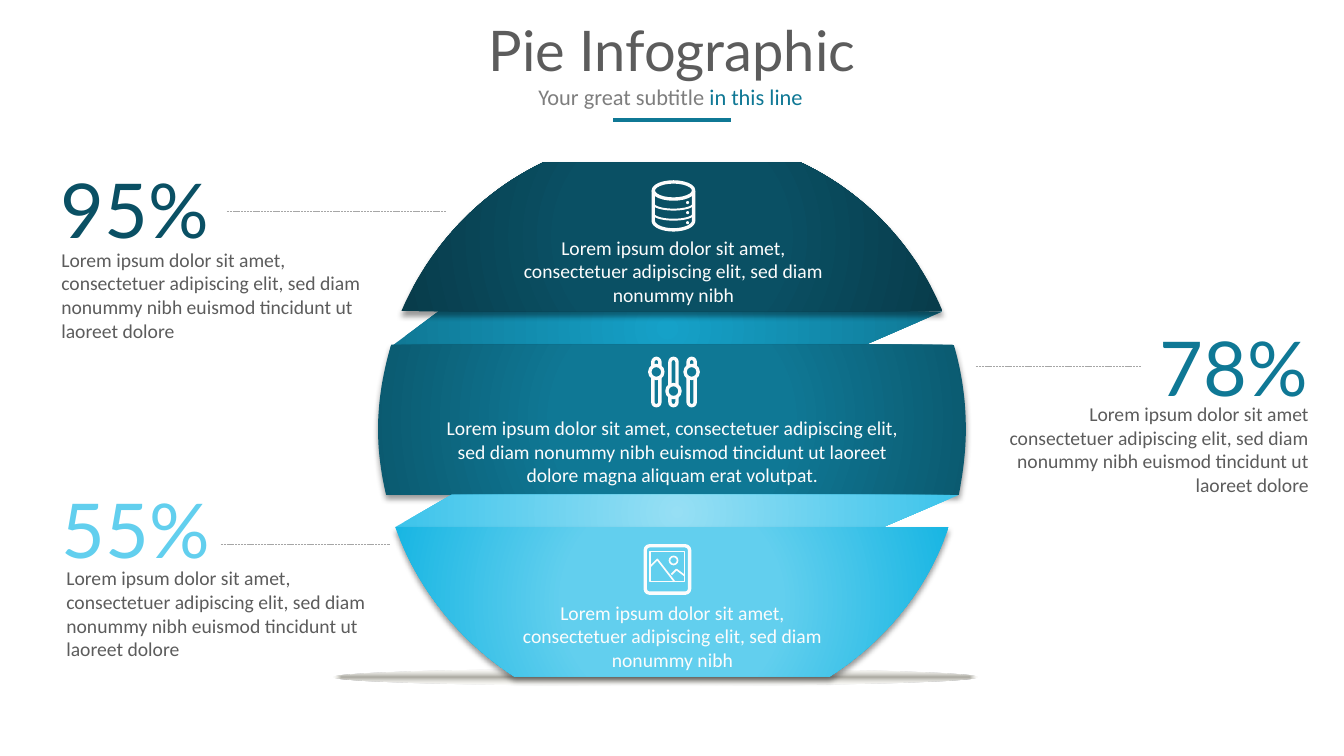
from math import cos, pi, sin

from pptx import Presentation
from pptx.dml.color import RGBColor
from pptx.enum.dml import MSO_LINE
from pptx.enum.shapes import MSO_CONNECTOR, MSO_SHAPE as SHAPE
from pptx.enum.text import MSO_ANCHOR, MSO_AUTO_SIZE as AUTO, PP_ALIGN as ALIGN
from pptx.oxml import parse_xml
from pptx.oxml.ns import nsdecls
from pptx.util import Inches, Pt

NAVY = RGBColor(0x0A, 0x50, 0x64)
NAVY_EDGE = RGBColor(0x08, 0x3C, 0x4B)
TEAL = RGBColor(0x0F, 0x78, 0x95)
TEAL_EDGE = RGBColor(0x0B, 0x5A, 0x70)
SKY = RGBColor(0x62, 0xCF, 0xEE)
SKY_EDGE = RGBColor(0x19, 0xB6, 0xE3)
FOLD_TEAL = RGBColor(0x15, 0xA1, 0xC8)
FOLD_TEAL_EDGE = RGBColor(0x10, 0x79, 0x96)
FOLD_SKY = RGBColor(0x96, 0xDF, 0xF4)
FOLD_SKY_EDGE = RGBColor(0x3D, 0xC4, 0xEB)
GROUND = RGBColor(0xAA, 0xA9, 0xA1)
GROUND_EDGE = RGBColor(0xEE, 0xEC, 0xE1)
WHITE = RGBColor(0xFC, 0xFC, 0xFC)
DARK = RGBColor(0x5C, 0x5C, 0x5C)
GREY = RGBColor(0x7E, 0x7E, 0x7E)
RULE = RGBColor(0xA6, 0xA6, 0xA6)

SHORT = "Lorem ipsum dolor sit amet, consectetuer adipiscing elit, sed diam nonummy nibh"
LONG = SHORT + " euismod tincidunt ut laoreet dolore"
NO_COMMA = LONG.replace("amet,", "amet")

# Outline steps: (x, y) is a line, six numbers are a Bezier curve.
# (outline, centre colour, edge colour, first stop, raised), from back to front
GLOBE = [
    ([(4.35, 3.09), (9.35, 3.09), (8.56, 3.43), (3.89, 3.43)],
     FOLD_TEAL, FOLD_TEAL_EDGE, 0, False),
    ([(3.88, 3.42), (9.46, 3.42), (9.54, 3.69, 9.58, 3.97, 9.58, 4.26),
      (9.58, 4.48, 9.55, 4.7, 9.51, 4.91), (3.83, 4.91),
      (3.78, 4.7, 3.75, 4.48, 3.75, 4.26), (3.75, 3.97, 3.8, 3.69, 3.88, 3.42)],
     TEAL, TEAL_EDGE, 38, True),
    ([(4.48, 4.91), (9.51, 4.91), (8.71, 5.25), (3.92, 5.23)],
     FOLD_SKY, FOLD_SKY_EDGE, 0, False),
    ([(5.39, 1.61), (7.94, 1.61), (8.58, 1.91, 9.08, 2.44, 9.35, 3.09),
      (3.98, 3.09), (4.26, 2.44, 4.76, 1.91, 5.39, 1.61)],
     NAVY, NAVY_EDGE, 38, True),
    ([(3.92, 5.23), (9.41, 5.23), (9.2, 5.84, 8.78, 6.36, 8.23, 6.71),
      (5.1, 6.71), (4.56, 6.36, 4.14, 5.84, 3.92, 5.23)],
     SKY, SKY_EDGE, 38, True),
]
BAND_TEXTS = [
    ((4.95, 2.29, 3.46, 0.81), SHORT),
    ((4.29, 4.08, 4.76, 0.81), LONG + " magna aliquam erat volutpat."),
    ((4.94, 5.91, 3.46, 0.81), SHORT),
]
# (number, colour, number left/top, text, text left/top, alignment, leader x1, x2, y)
CALLOUTS = [
    ("95%", NAVY, (0.5, 1.57), LONG, (0.51, 2.41), ALIGN.LEFT, (2.25, 4.43, 2.1)),
    ("78%", TEAL, (11.4, 3.13), NO_COMMA, (9.72, 3.94), ALIGN.RIGHT, (9.68, 11.32, 3.63)),
    ("55%", SKY, (0.51, 4.74), LONG, (0.56, 5.57), ALIGN.LEFT, (2.19, 3.87, 5.4)),
]
SLIDERS = [(6.51, 3.69), (6.68, 3.88), (6.86, 3.69)]  # track x, knob y
MOUNTAINS = [[(6.45, 5.62), (6.52, 5.55), (6.69, 5.77)],
             [(6.66, 5.7), (6.71, 5.65), (6.79, 5.71)]]

prs = Presentation()
prs.slide_width, prs.slide_height = Inches(13.33), Inches(7.5)
s = prs.slides.add_slide(prs.slide_layouts[6])


def paint(sp, fill=None, line=None, width=1):
    sp.shadow.inherit = False
    if fill is None:
        sp.fill.background()
    else:
        sp.fill.solid()
        sp.fill.fore_color.rgb = fill
    if line is None:
        sp.line.fill.background()
    else:
        sp.line.color.rgb = line
        sp.line.width = Pt(width)
    return sp


def radial(sp, inner, outer, start=0, end=99, kind="circle", outer_alpha=100):
    """Swap the solid fill for a gradient that runs out from the centre."""
    solid = sp._element.spPr.find("{*}solidFill")
    solid.getparent().replace(solid, parse_xml(
        f'<a:gradFill {nsdecls("a")} rotWithShape="1"><a:gsLst>'
        f'<a:gs pos="{start * 1000}"><a:srgbClr val="{inner}"/></a:gs>'
        f'<a:gs pos="{end * 1000}"><a:srgbClr val="{outer}">'
        f'<a:alpha val="{outer_alpha * 1000}"/></a:srgbClr></a:gs></a:gsLst>'
        f'<a:path path="{kind}"><a:fillToRect l="50000" t="50000" r="50000" b="50000"/>'
        '</a:path></a:gradFill>'))


def drop_shadow(sp):
    sp._element.spPr.find("{*}effectLst").append(parse_xml(
        f'<a:outerShdw {nsdecls("a")} blurRad="{Pt(4)}" dist="{Pt(3)}" dir="5400000" '
        'algn="t" rotWithShape="0"><a:srgbClr val="000000"><a:alpha val="40000"/>'
        '</a:srgbClr></a:outerShdw>'))


def flatten(steps, n=24):
    """Turn lines and Bezier curves into one list of points."""
    pts = []
    for step in steps:
        if len(step) == 2:
            pts.append(step)
            continue
        ctrl = [pts[-1], step[:2], step[2:4], step[4:]]
        for t in (i / n for i in range(1, n + 1)):
            weights = ((1 - t) ** 3, 3 * t * (1 - t) ** 2, 3 * t * t * (1 - t), t ** 3)
            pts.append(tuple(sum(w * c[axis] for w, c in zip(weights, ctrl))
                             for axis in (0, 1)))
    return pts


def freeform(pts, close):
    emu = [(Inches(x), Inches(y)) for x, y in pts]
    fb = s.shapes.build_freeform(*emu[0])
    fb.add_line_segments(emu[1:], close=close)
    return fb.convert_to_shape()


def stroke(pts, width):
    paint(freeform(pts, False), line=WHITE, width=width)


def centred(kind, cx, cy, w, h, **style):
    sp = s.shapes.add_shape(kind, *map(Inches, (cx - w / 2, cy - h / 2, w, h)))
    return paint(sp, **style)


def connector(x1, x2, y, color, width, dash=None):
    ln = s.shapes.add_connector(MSO_CONNECTOR.STRAIGHT, *map(Inches, (x1, y, x2, y)))
    ln.line.color.rgb, ln.line.width = color, Pt(width)
    if dash:
        ln.line.dash_style = dash
    ln._element.spPr.append(parse_xml(f'<a:effectLst {nsdecls("a")}/>'))


def text(box, runs, size, font="Calibri", align=ALIGN.LEFT, wrap=True,
         anchor=MSO_ANCHOR.TOP, auto=AUTO.SHAPE_TO_FIT_TEXT, spacing=None):
    tf = s.shapes.add_textbox(*map(Inches, box)).text_frame
    for name, value in dict(word_wrap=wrap, auto_size=auto, vertical_anchor=anchor).items():
        setattr(tf, name, value)
    p = tf.paragraphs[0]
    p.alignment, p.line_spacing = align, spacing
    for words, color in runs:
        r = p.add_run()
        r.text = words
        r.font.size, r.font.name, r.font.color.rgb = Pt(size), font, color


def lower_arc(cx, cy, rx, ry, n=24):
    return [(cx - rx * cos(pi * i / n), cy + ry * sin(pi * i / n)) for i in range(n + 1)]


def database_icon(cx=6.68, rx=0.2):
    centred(SHAPE.OVAL, cx, 1.89, 2 * rx, 0.17, line=WHITE, width=2.4)
    stroke([(cx - rx, 1.89), *lower_arc(cx, 2.19, rx, 0.09), (cx + rx, 1.89)], 2.4)
    for i in range(2):
        stroke(lower_arc(cx, 2.02 + 0.1 * i, rx, 0.06), 1.4)
    for i in range(3):
        centred(SHAPE.OVAL, 6.82, 2.01 + 0.1 * i, 0.03, 0.03, fill=WHITE)


def sliders_icon():
    for x, knob_y in SLIDERS:
        track = centred(SHAPE.ROUNDED_RECTANGLE, x, 3.79, 0.07, 0.47, line=WHITE, width=2.4)
        track.adjustments[0] = 0.5
        centred(SHAPE.OVAL, x, knob_y, 0.13, 0.13, fill=TEAL, line=WHITE, width=2.4)


def picture_icon():
    frame = centred(SHAPE.ROUNDED_RECTANGLE, 6.62, 5.65, 0.44, 0.47, line=WHITE, width=2.4)
    frame.adjustments[0] = 0.1
    centred(SHAPE.RECTANGLE, 6.62, 5.62, 0.34, 0.3, line=WHITE, width=1.2)
    centred(SHAPE.OVAL, 6.68, 5.56, 0.08, 0.08, line=WHITE, width=1.2)
    for ridge in MOUNTAINS:
        stroke(ridge, 1.2)


text((2.01, 0, 9.31, 1.06), [("Pie Infographic", DARK)], 40, "Lato", ALIGN.CENTER,
     anchor=MSO_ANCHOR.MIDDLE, auto=AUTO.NONE, spacing=0.9)
ground = centred(SHAPE.OVAL, 6.5, 6.72, 6.38, 0.17, fill=GROUND)
radial(ground, GROUND, GROUND_EDGE, end=100, kind="shape", outer_alpha=0)
text((5.24, 0.78, 2.85, 0.37), [("Your great subtitle ", GREY), ("in this line", TEAL)],
     16, wrap=False)
connector(6.08, 7.25, 1.19, TEAL, 3.25)

for outline, inner, outer, start, raised in GLOBE:
    sp = paint(freeform(flatten(outline), True), fill=inner)
    radial(sp, inner, outer, start)
    if raised:
        drop_shadow(sp)

database_icon()
sliders_icon()
picture_icon()
for box, words in BAND_TEXTS:
    text(box, [(words, WHITE)], 14, align=ALIGN.CENTER)

for number, color, number_at, words, words_at, align, leader in CALLOUTS:
    connector(*leader, RULE, 0.5, MSO_LINE.SQUARE_DOT)
    text((*number_at, 1.68, 1.01), [(number, color)], 54, "Lato", wrap=False)
    text((*words_at, 3.36, 1.04), [(words, DARK)], 14, align=align)

prs.save("out.pptx")
